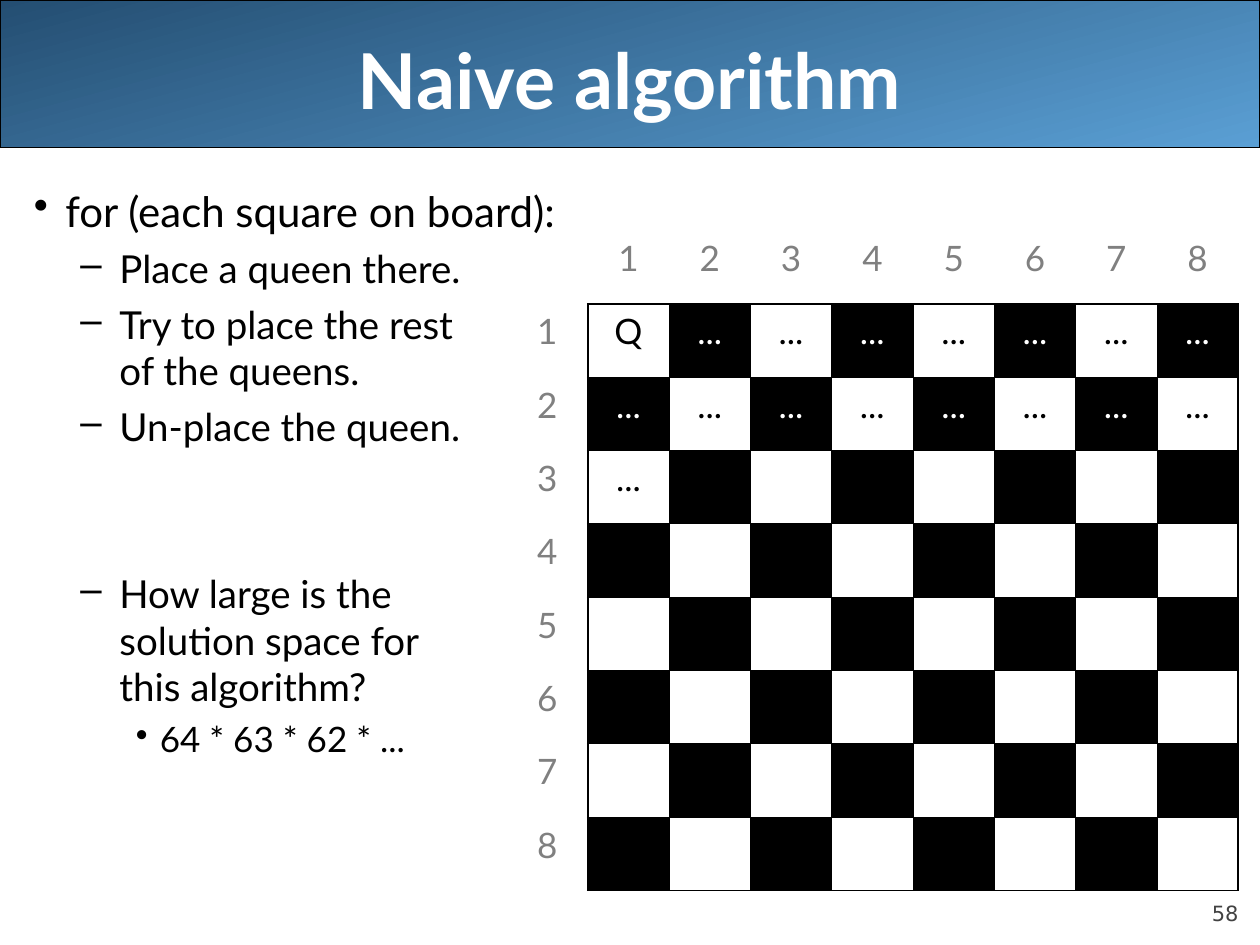
"""Build the slide on the naive eight queens algorithm."""
from lxml.etree import SubElement as Sub
from pptx import Presentation as Deck
from pptx.dml.color import RGBColor as Rgb
from pptx.enum.shapes import MSO_SHAPE as Kind
from pptx.enum.text import MSO_ANCHOR as Anchor, PP_ALIGN as Align
from pptx.oxml.ns import qn
from pptx.util import Inches, Pt

BLACK, WHITE, GREY, DARK = "000000", "FFFFFF", "808080", "424242"
THICK, THIN = Pt(1.08), Pt(0.45)
SIDE = 9


def hue(code):
    return Rgb.from_string(code)


def write(para, text, color, size, form, name="Lato", bold=False):
    for key, value in form.items():
        setattr(para, key, value)
    para.text = text
    look = {"name": name, "size": Pt(size), "bold": bold}
    for run in para.runs:
        for key, value in look.items():
            setattr(run.font, key, value)
        run.font.color.rgb = hue(color)


deck = Deck()
deck.slide_width, deck.slide_height = Inches(10), Inches(7.5)
wide, high = deck.slide_width, deck.slide_height
slide = deck.slides.add_slide(deck.slide_layouts[6])
shapes = slide.shapes

band = shapes.add_shape(Kind.ROUNDED_RECTANGLE, 0, 0, wide, Inches(1.17))
band.adjustments[0] = 0
band.shadow.inherit = False
band.fill.gradient()
band.fill.gradient_angle = 285
for stop, code, spot in zip(band.fill.gradient_stops, ("244E72", "5A9FD4"), (0, 1)):
    stop.color.rgb = hue(code)
    stop.position = spot
band.line.color.rgb = hue(BLACK)
band.line.width = Pt(0.75)

page = shapes.add_textbox(int(wide * 0.9), Inches(6.95), Inches(0.83), Inches(0.4))
title = shapes.add_textbox(int(wide * 0.05), 0, int(wide * 0.9), high // 6)
body = shapes.add_textbox(Inches(0.17), Inches(1.42), Inches(9.83), Inches(5.67))
flush = dict.fromkeys(("margin_left", "margin_top", "margin_right", "margin_bottom"), 0)
frames = [
    (page, {"vertical_anchor": Anchor.BOTTOM, **flush}),
    (title, {"vertical_anchor": Anchor.MIDDLE}),
    (body, {"vertical_anchor": Anchor.TOP}),
]
for box, form in frames:
    for key, value in {"word_wrap": True, **form}.items():
        setattr(box.text_frame, key, value)

write(page.text_frame.paragraphs[0], "58", DARK, 12,
      {"alignment": Align.RIGHT}, "DejaVu Sans")
write(title.text_frame.paragraphs[0], "Naive algorithm", WHITE, 44,
      {"alignment": Align.CENTER}, bold=True)

levels = [("•", 24, 0.25, -0.25), ("–", 22, 0.68, -0.31), ("•", 20, 1, -0.19)]
points = [
    (0, 0, "for (each square on board):"),
    (1, 5.5, "Place a queen there."),
    (1, 5.5, "Try to place the rest\vof the queens."),
    (1, 5.5, "Un-place the queen."),
    (1, 69.3, "How large is the\vsolution space for\vthis algorithm?"),
    (2, 5, "64 * 63 * 62 * ..."),
]
for rank, (level, gap, text) in enumerate(points):
    mark, size, left, hang = levels[level]
    para = body.text_frame.add_paragraph() if rank else body.text_frame.paragraphs[0]
    props = para._p.get_or_add_pPr()
    props.set("marL", str(Inches(left)))
    props.set("indent", str(Inches(hang)))
    tint = Sub(props, qn("a:buClr"))
    Sub(tint, qn("a:srgbClr"), val=BLACK)
    Sub(props, qn("a:buChar"), char=mark)
    write(para, text, BLACK, size, {"level": level, "space_before": Pt(gap)})

grid = shapes.add_table(SIDE, SIDE, Inches(4.02), Inches(1.83),
                        Inches(5.81), Inches(5.24)).table
for key in ("first_row", "horz_banding"):
    setattr(grid, key, False)

for row in range(SIDE):
    for col in range(SIDE):
        cell = grid.cell(row, col)
        board = row > 0 and col > 0
        black = board and (row + col) % 2 == 1
        props = cell._tc.get_or_add_tcPr()
        edges = [("L", col, row), ("R", col + 1, row), ("T", row, col), ("B", row + 1, col)]
        for edge, line, lane in edges:
            width = THICK if line in (1, SIDE) else THIN
            rule = Sub(props, qn("a:ln" + edge), w=str(width))
            if line and lane:
                paint = Sub(rule, qn("a:solidFill"))
                Sub(paint, qn("a:srgbClr"), val=BLACK)
            else:
                Sub(rule, qn("a:noFill"))
        if black:
            cell.fill.solid()
            cell.fill.fore_color.rgb = hue(BLACK)
        else:
            cell.fill.background()

        order = (row - 1) * (SIDE - 1) + col
        if not board:
            text, color = str(row + col or ""), GREY
        else:
            text = "Q" if order == 1 else "..." if order <= 17 else ""
            color = WHITE if black else BLACK
        if text:
            write(cell.text_frame.paragraphs[0], text, color, 20,
                  {"alignment": Align.CENTER})

deck.save("out.pptx")
